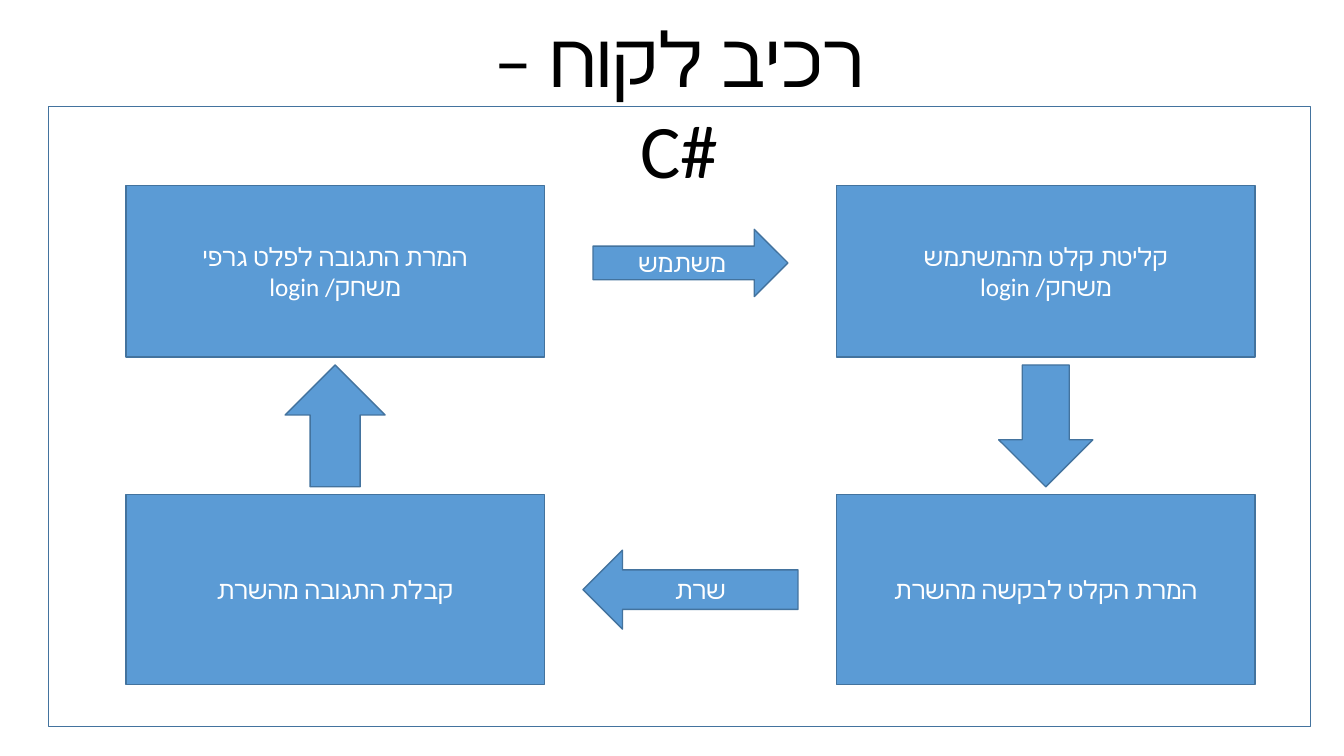
from dataclasses import dataclass

from lxml.etree import SubElement
from pptx import Presentation
from pptx.dml.color import RGBColor
from pptx.enum.shapes import MSO_SHAPE
from pptx.enum.text import MSO_ANCHOR, MSO_AUTO_SIZE, PP_ALIGN
from pptx.oxml.ns import qn
from pptx.util import Inches, Pt


@dataclass(frozen=True)
class Theme:
    font: str = "Calibri"
    fill: RGBColor = RGBColor(0x5B, 0x9B, 0xD5)
    outline: RGBColor = RGBColor(0x43, 0x73, 0x9E)
    label: RGBColor = RGBColor(0xFF, 0xFF, 0xFF)
    heading: RGBColor = RGBColor(0, 0, 0)
    label_size: int = 18
    heading_size: int = 54
    outline_width: int = 1


@dataclass(frozen=True)
class Area:
    left: float
    top: float
    width: float
    height: float

    @property
    def center_x(self):
        return self.left + self.width / 2

    @property
    def center_y(self):
        return self.top + self.height / 2


def apply(target, formats):
    for name, value in formats.items():
        setattr(target, name, value)


class DiagramSlide:
    columns, rows = 160, 90

    def __init__(self, presentation, theme):
        self.theme = theme
        self.cell_width = presentation.slide_width / self.columns
        self.cell_height = presentation.slide_height / self.rows
        self.slide = presentation.slides.add_slide(presentation.slide_layouts[5])

    def place(self, area):
        return {
            "left": round(area.left * self.cell_width),
            "top": round(area.top * self.cell_height),
            "width": round(area.width * self.cell_width),
            "height": round(area.height * self.cell_height),
        }

    def set_text(self, shape, lines, size, color, anchor):
        frame = shape.text_frame
        frame.text = "\n".join(lines)
        apply(frame, {"word_wrap": True, "vertical_anchor": anchor,
                      "auto_size": MSO_AUTO_SIZE.NONE})
        for paragraph in frame.paragraphs:
            apply(paragraph, {"alignment": PP_ALIGN.CENTER, "line_spacing": 1.0})
            paragraph._p.get_or_add_pPr().set("rtl", "1")
            for run in paragraph.runs:
                apply(run.font, {"name": self.theme.font, "size": Pt(size)})
                run.font.color.rgb = color
                SubElement(run.font._element, qn("a:cs"), typeface=self.theme.font)

    def title(self, text, area):
        title = self.slide.shapes.title
        apply(title, self.place(area))
        self.set_text(title, [text], self.theme.heading_size, self.theme.heading,
                      MSO_ANCHOR.TOP)
        self.slide.shapes._spTree.append(title._element)

    def outlined(self, kind, area):
        shape = self.slide.shapes.add_shape(kind, **self.place(area))
        shape.shadow.inherit = False
        shape.line.color.rgb = self.theme.outline
        shape.line.width = Pt(self.theme.outline_width)
        return shape

    def frame(self, area):
        self.outlined(MSO_SHAPE.RECTANGLE, area).fill.background()

    def block(self, kind, area, lines=()):
        shape = self.outlined(kind, area)
        shape.fill.solid()
        shape.fill.fore_color.rgb = self.theme.fill
        if lines:
            self.set_text(shape, lines, self.theme.label_size, self.theme.label,
                          MSO_ANCHOR.MIDDLE)

    def arrow(self, kind, center_x, center_y, width, height, lines=()):
        area = Area(center_x - width / 2, center_y - height / 2, width, height)
        self.block(kind, area, lines)


presentation = Presentation()
apply(presentation, {"slide_width": Inches(13.33), "slide_height": Inches(7.5)})
diagram = DiagramSlide(presentation, Theme())

left, right, step_width = 15, 99.6, 49.8
upper, upper_height = 22.1, 20.4
lower, lower_height = 58.9, 22.6
user_input = Area(right, upper, step_width, upper_height)
server_request = Area(right, lower, step_width, lower_height)
graphic_output = Area(left, upper, step_width, upper_height)
server_response = Area(left, lower, step_width, lower_height)

for area, lines in (
    (user_input, ["קליטת קלט מהמשתמש", "משחק/ login"]),
    (server_request, ["המרת הקלט לבקשה מהשרת"]),
    (graphic_output, ["המרת התגובה לפלט גרפי", "משחק/ login"]),
    (server_response, ["קבלת התגובה מהשרת"]),
):
    diagram.block(MSO_SHAPE.RECTANGLE, area, lines)

middle_x = (left + step_width + right) / 2
middle_y = (upper + upper_height + lower) / 2
diagram.arrow(MSO_SHAPE.RIGHT_ARROW, middle_x, user_input.center_y - 1, 23.2, 8, ["משתמש"])
diagram.arrow(MSO_SHAPE.DOWN_ARROW, user_input.center_x, middle_y, 11.2, 14.5)
diagram.arrow(MSO_SHAPE.LEFT_ARROW, middle_x, server_request.center_y, 25.6, 9.4, ["שרת"])
diagram.arrow(MSO_SHAPE.UP_ARROW, graphic_output.center_x, middle_y, 11.9, 14.5)

diagram.frame(Area(5.8, 12.7, 150.2, 73.8))
diagram.title("רכיב לקוח – #C", Area(52.4, 0.8, 56.9, 12.1))

presentation.save("out.pptx")
